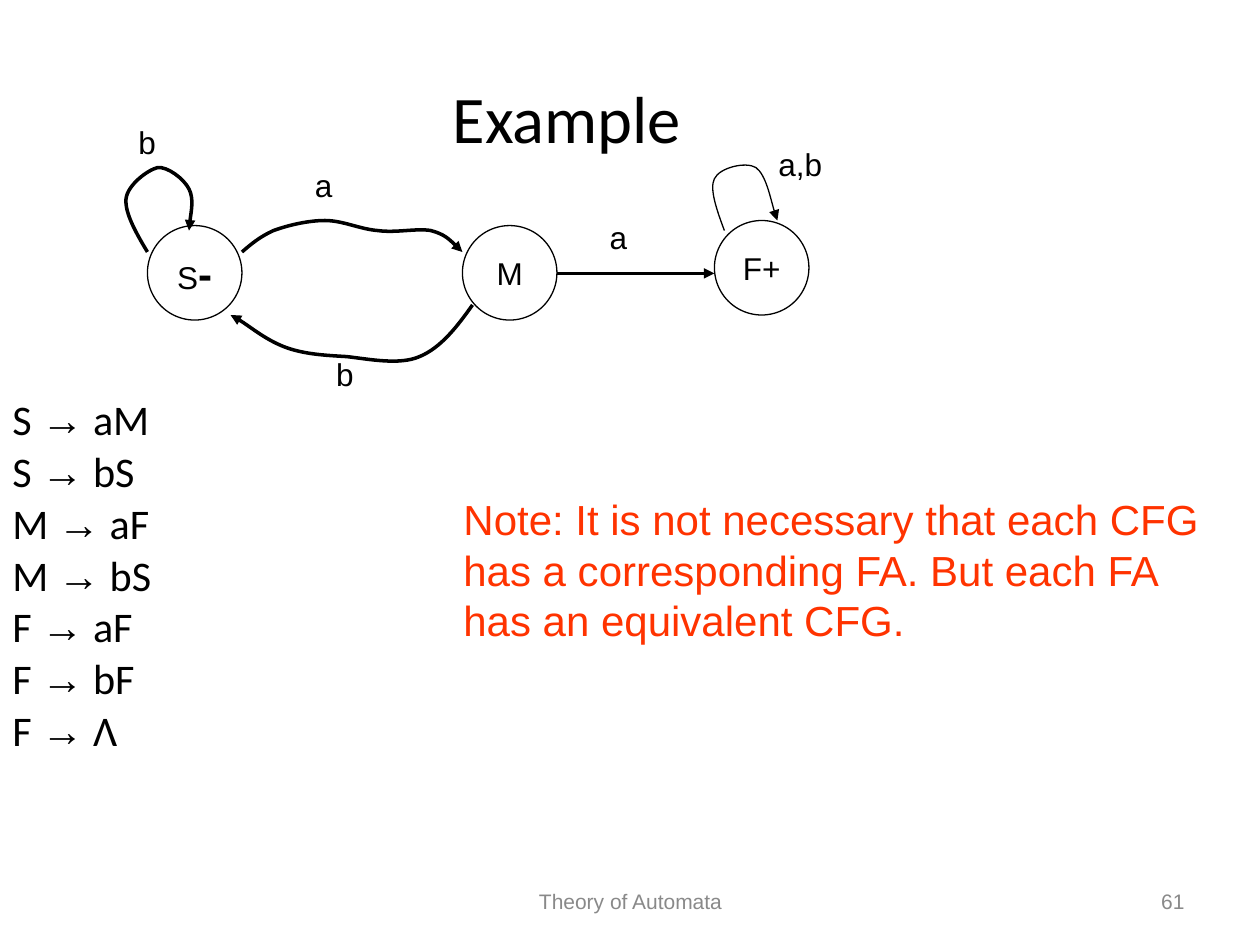
"""Build a slide that relates a finite automaton to its context-free grammar."""
from dataclasses import dataclass
from typing import Any, Optional

import lxml.etree
import pptx
import pptx.dml.color
import pptx.enum.shapes
import pptx.enum.text
import pptx.oxml.ns
import pptx.util

Inches = pptx.util.Inches
Align = pptx.enum.text.PP_ALIGN
Anchor = pptx.enum.text.MSO_ANCHOR
qn = pptx.oxml.ns.qn
Point = tuple[float, float]


@dataclass(frozen=True)
class Theme:
    ink: str = "000000"
    note: str = "FF3300"
    muted: str = "898989"
    heading_font: str = "Calibri"
    body_font: str = "Arial"
    title_size: float = 38
    rule_size: float = 24.1
    large_size: float = 24
    label_size: float = 18
    footer_size: float = 12
    thin: float = 0.75
    thick: float = 2


THEME = Theme()


@dataclass(frozen=True)
class Run:
    text: str
    size: float = THEME.label_size
    font: str = THEME.body_font
    color: str = THEME.ink
    bold: Optional[bool] = None


@dataclass(frozen=True)
class Box:
    left: float
    top: float
    width: float
    height: float
    lines: list[list[Run]]
    align: Any = Align.LEFT
    anchor: Any = Anchor.TOP
    wrap: bool = False


@dataclass(frozen=True)
class State:
    left: float
    top: float
    runs: list[Run]
    diameter: float = 0.75


@dataclass(frozen=True)
class Curve:
    points: list[Point]
    weight: float = THEME.thick


@dataclass(frozen=True)
class Label:
    left: float
    top: float
    text: str
    width: float = 0.34


def write(text_frame: Any, lines: list[list[Run]], align: Any, anchor: Any, wrap: bool) -> None:
    """Fill a text frame with paragraphs of formatted runs."""
    text_frame.text = "\n".join(line[0].text for line in lines)
    text_frame.word_wrap = wrap
    text_frame.vertical_anchor = anchor
    for paragraph, line in zip(text_frame.paragraphs, lines):
        paragraph.alignment = align
        for extra in line[1:]:
            paragraph.add_run().text = extra.text
        for run, style in zip(paragraph.runs, line):
            run.font.size = pptx.util.Pt(style.size)
            run.font.name = style.font
            run.font.bold = style.bold
            run.font.color.rgb = pptx.dml.color.RGBColor.from_string(style.color)


def draw_box(shapes: Any, box: Box) -> Any:
    """Add a text box and return it."""
    shape = shapes.add_textbox(*map(Inches, (box.left, box.top, box.width, box.height)))
    write(shape.text_frame, box.lines, box.align, box.anchor, box.wrap)
    return shape


def draw_label(shapes: Any, label: Label) -> None:
    """Add the letter read along a transition."""
    draw_box(shapes, Box(label.left, label.top, label.width, 0.4, [[Run(label.text)]]))


def set_line(line: Any, weight: float, arrow: bool = False) -> None:
    """Colour a line and optionally give it an arrowhead."""
    line.color.rgb = pptx.dml.color.RGBColor.from_string(THEME.ink)
    line.width = pptx.util.Pt(weight)
    if arrow:
        lxml.etree.SubElement(line._get_or_add_ln(), qn("a:tailEnd"), type="triangle")


def draw_state(shapes: Any, state: State) -> None:
    """Add a circle that stands for a state."""
    shape = shapes.add_shape(
        pptx.enum.shapes.MSO_SHAPE.OVAL,
        *map(Inches, (state.left, state.top, state.diameter, state.diameter)),
    )
    shape.shadow.inherit = False
    shape.fill.background()
    set_line(shape.line, THEME.thin)
    write(shape.text_frame, [state.runs], Align.CENTER, Anchor.MIDDLE, False)


def draw_curve(shapes: Any, curve: Curve) -> None:
    """Add a curved arrow whose points after the first are Bezier triples."""
    start, *rest = [(Inches(x), Inches(y)) for x, y in curve.points]
    builder = shapes.build_freeform(*start)
    builder.add_line_segments(rest, close=False)
    shape = builder.convert_to_shape()
    shape.shadow.inherit = False
    shape.fill.background()
    set_line(shape.line, curve.weight, arrow=True)
    path = next(shape._element.iter(qn("a:path")))
    segments = path.findall(qn("a:lnTo"))
    for first in range(0, len(segments), 3):
        bezier = lxml.etree.SubElement(path, qn("a:cubicBezTo"))
        for segment in segments[first:first + 3]:
            bezier.append(segment[0])
            path.remove(segment)


def draw_arrow(shapes: Any, start: Point, end: Point) -> None:
    """Add a straight arrow."""
    connector = shapes.add_connector(
        pptx.enum.shapes.MSO_CONNECTOR.STRAIGHT, *map(Inches, (*start, *end))
    )
    set_line(connector.line, THEME.thick, arrow=True)
    lxml.etree.SubElement(connector._element.spPr, qn("a:effectLst"))


def draw_rules(shapes: Any, rules: list[Point]) -> None:
    """List the grammar's productions."""
    size, font = THEME.rule_size, THEME.heading_font
    lines = [
        [Run(f"{left} ", size, font), Run("→", size), Run(f" {right}", size, font)]
        for left, right in rules
    ]
    shape = draw_box(shapes, Box(0, 1.5, 3.17, 4.95, lines, wrap=True))
    shape.text_frame.margin_top = Inches(1.7)
    for paragraph in shape.text_frame.paragraphs:
        paragraph.line_spacing = 0.8
        paragraph.space_before = pptx.util.Pt(6.5)


STATES = [
    State(1.17, 1.79, [Run("S"), Run("-", THEME.large_size, bold=True)]),
    State(3.67, 1.79, [Run("M")]),
]
CURVES = [
    Curve([(1.92, 2), (1.99, 1.94), (2.06, 1.88), (2.17, 1.83), (2.28, 1.79), (2.44, 1.75),
           (2.58, 1.75), (2.72, 1.75), (2.86, 1.82), (3, 1.83), (3.14, 1.85), (3.31, 1.81),
           (3.42, 1.83), (3.53, 1.86), (3.6, 1.93), (3.67, 2)]),
    Curve([(3.75, 2.42), (3.63, 2.59), (3.5, 2.76), (3.33, 2.83), (3.17, 2.9), (2.93, 2.85),
           (2.75, 2.83), (2.57, 2.82), (2.4, 2.81), (2.25, 2.75), (2.1, 2.69), (1.92, 2.54),
           (1.83, 2.5)]),
    Curve([(1.17, 2), (1.08, 1.85), (0.99, 1.69), (1, 1.58), (1.01, 1.47), (1.17, 1.35),
           (1.25, 1.33), (1.33, 1.32), (1.46, 1.42), (1.5, 1.5), (1.54, 1.58), (1.5, 1.79),
           (1.5, 1.83)]),
]
FINAL_LOOP = Curve([(5.75, 1.83), (5.69, 1.67), (5.63, 1.5), (5.67, 1.42), (5.71, 1.33),
                    (5.92, 1.28), (6, 1.33), (6.08, 1.39), (6.14, 1.68), (6.17, 1.75)], THEME.thin)
LABELS = [Label(2.4, 1.27, "a"), Label(2.57, 2.77, "b"), Label(1, 0.93, "b"), Label(4.74, 1.68, "a")]
RULES = [("S", "aM"), ("S", "bS"), ("M", "aF"), ("M", "bS"), ("F", "aF"), ("F", "bF"), ("F", "Λ")]
NOTE = ["Note: It is not necessary that each CFG", "has a corresponding FA. But each FA",
        "has an equivalent CFG."]


def main() -> None:
    """Build and save the presentation."""
    presentation = pptx.Presentation()
    presentation.slide_width, presentation.slide_height = Inches(10), Inches(7.5)
    slide = presentation.slides.add_slide(presentation.slide_layouts[5])
    shapes = slide.shapes
    title = shapes.title
    title.left, title.top, title.width, title.height = map(Inches, (0, 0.3, 9, 1.25))
    heading = Run("Example", THEME.title_size, THEME.heading_font)
    write(title.text_frame, [[heading]], Align.CENTER, Anchor.MIDDLE, True)
    draw_rules(shapes, RULES)
    for state in STATES:
        draw_state(shapes, state)
    for curve in CURVES:
        draw_curve(shapes, curve)
    for label in LABELS:
        draw_label(shapes, label)
    final_group = shapes.add_group_shape().shapes
    draw_state(final_group, State(5.67, 1.75, [Run("F+")]))
    draw_curve(final_group, FINAL_LOOP)
    draw_label(final_group, Label(6.08, 1.1, "a,b", 0.55))
    draw_arrow(shapes, (4.42, 2.17), (5.67, 2.17))
    note_lines = [[Run(line, THEME.large_size, color=THEME.note)] for line in NOTE]
    draw_box(shapes, Box(3.58, 3.87, 6.13, 1.3, note_lines))
    for left, width, text, align in (
        (3.42, 3.17, "Theory of Automata", Align.CENTER), (7.17, 2.33, "61", Align.RIGHT),
    ):
        footer = Run(text, THEME.footer_size, color=THEME.muted)
        draw_box(shapes, Box(left, 6.95, width, 0.4, [[footer]], align, Anchor.MIDDLE, True))
    presentation.save("out.pptx")


if __name__ == "__main__":
    main()
